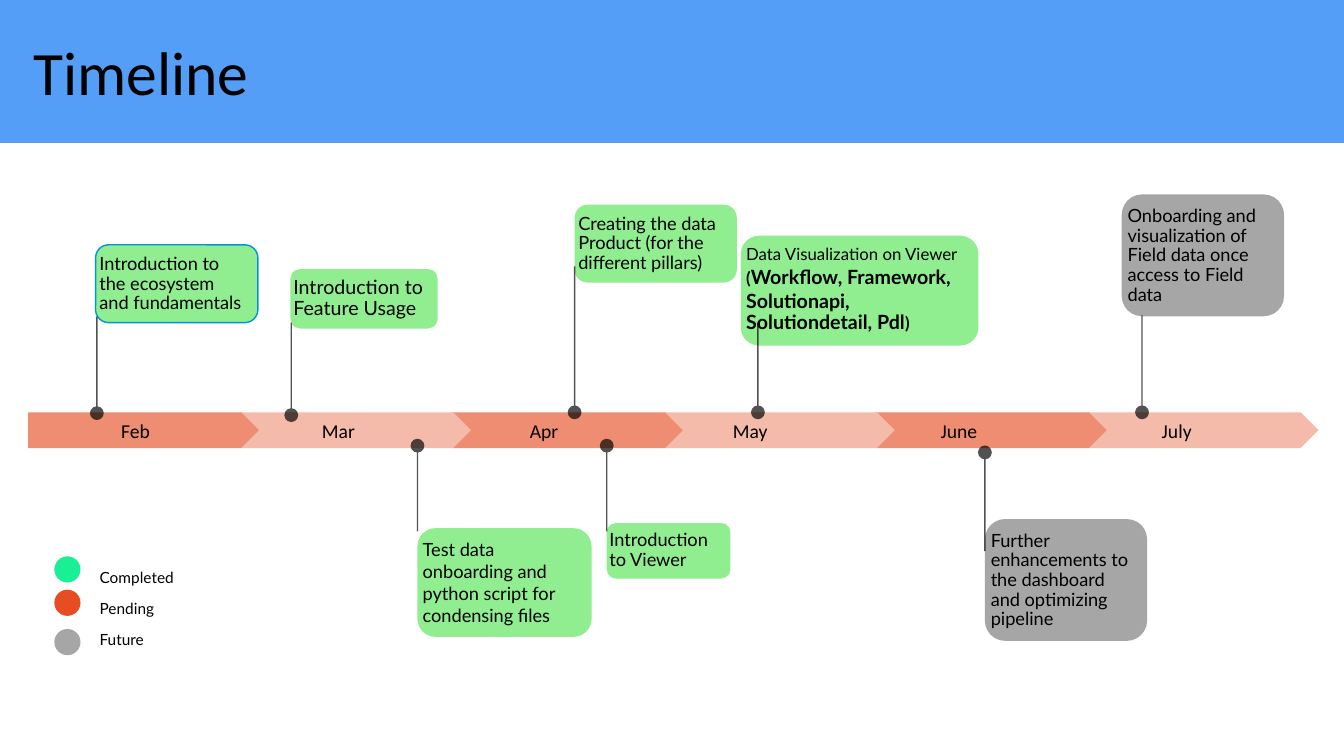
from lxml import etree
from pptx import Presentation
from pptx import util as u
from pptx.dml.color import RGBColor
from pptx.enum import shapes, text
from pptx.oxml import ns

GREEN, GREY, BLACK = "90EE90", "A6A6A6", "000000"


def paint(target, color):
    """Give a fill one solid colour."""
    target.solid()
    target.fore_color.rgb = RGBColor.from_string(color)


def write(frame, paragraphs, font="Lato", size=13, align="LEFT", anchor="TOP",
          spacing=0.9, before=0, after=0, margins=(0, 0, 0, 0)):
    """Fill a text frame; a paragraph is a string or a list of (text, size, bold)."""
    frame.word_wrap = True
    frame.vertical_anchor = getattr(text.MSO_ANCHOR, anchor)
    (frame.margin_left, frame.margin_top,
     frame.margin_right, frame.margin_bottom) = [u.Cm(m) for m in margins]
    for index, content in enumerate(paragraphs):
        para = frame.add_paragraph() if index else frame.paragraphs[0]
        para.alignment = getattr(text.PP_ALIGN, align)
        para.line_spacing = spacing
        para.space_before, para.space_after = u.Pt(before), u.Pt(after)
        runs = [(content, size, False)] if isinstance(content, str) else content
        for words, points, bold in runs:
            span = para.add_run()
            span.text = words
            span.font.name, span.font.size, span.font.bold = font, u.Pt(points), bold
            paint(span.font.fill, BLACK)


deck = Presentation()
deck.slide_width, deck.slide_height = u.Cm(33.87), u.Cm(19.05)
page = deck.slides.add_slide(deck.slide_layouts[5])
kinds = shapes.MSO_SHAPE

# Header band and title
title = page.shapes.title
title.left, title.top, title.width, title.height = map(u.Cm, (0.84, 1.09, 32.26, 1.68))
write(title.text_frame, ["Timeline"], font="Calibri", size=44, anchor="MIDDLE", spacing=0.85)
title.text_frame.auto_size = text.MSO_AUTO_SIZE.NONE
band = page.shapes.add_shape(kinds.RECTANGLE, 0, 0, deck.slide_width, u.Cm(3.6))
band.shadow.inherit = False
paint(band.fill, "549EF8")
band.line.fill.background()
title.element.addprevious(band.element)

# Month arrows, drawn from the right so that each tip overlaps the next arrow
for month in reversed(range(6)):
    arrow = page.shapes.add_shape(kinds.RIGHT_ARROW, u.Cm(0.71 + 5.34 * month),
                                  u.Cm(10.39), u.Cm(5.82), u.Cm(0.9))
    arrow.adjustments[0], arrow.adjustments[1] = 1, 0.5
    arrow.shadow.inherit = False
    paint(arrow.fill, "F5BBAA" if month % 2 else "EF8D72")
    arrow.line.fill.background()

# Event cards: left, top, width, height, fill, anchor, space after, spacing, size, paragraphs
cards = [
    (2.41, 6.17, 4.09, 1.96, GREEN, "BOTTOM", 2, 0.9, 13,
     ["Introduction to the ecosystem and fundamentals"]),
    (10.52, 13.31, 4.39, 2.74, GREEN, "TOP", 0, 1.0, 13,
     ["Test data onboarding and python script for condensing files"]),
    (14.48, 5.16, 4.09, 1.96, GREEN, "BOTTOM", 2, 0.9, 13,
     ["Creating the data Product (for the different pillars)"]),
    (28.27, 4.9, 4.09, 3.07, GREY, "BOTTOM", 2, 0.9, 13,
     ["Onboarding and visualization of Field data once access to Field data"]),
    (7.32, 6.78, 3.71, 1.5, GREEN, "TOP", 2, 0.9, 14,
     ["Introduction to Feature Usage"]),
    (15.29, 13.18, 3.12, 1.4, GREEN, "TOP", 2, 0.9, 13,
     ["Introduction to Viewer"]),
    (18.67, 5.94, 5.99, 2.77, GREEN, "TOP", 2, 0.9, 12,
     ["Data Visualization on Viewer",
      [("(", 12, True), ("Workflow, Framework,", 14, True)],
      [("Solutionapi, Solutiondetail, Pdl", 14, True), (")", 12, True)]]),
    (24.82, 13.08, 4.09, 3.07, GREY, "BOTTOM", 2, 0.9, 13,
     ["Further enhancements to the dashboard and optimizing pipeline"]),
]
for index, (left, top, width, height, color, anchor, after, spacing, size, words) in enumerate(cards):
    card = page.shapes.add_shape(kinds.ROUNDED_RECTANGLE, u.Cm(left), u.Cm(top),
                                 u.Cm(width), u.Cm(height))
    card.shadow.inherit = False
    paint(card.fill, color)
    if index == 0:
        paint(card.line.fill, "0096D6")
        card.line.width = u.Pt(1)
    else:
        card.line.fill.background()
    write(card.text_frame, words, size=size, anchor=anchor, spacing=spacing,
          after=after, margins=(0, 0.13, 0.25, 0.13))

# Month names
months = ["Feb", "Mar", "Apr", "May", "June", "July"]
widths = [4.95, 5.28, 5.08, 5.31, 5.21, 5.77, 0.56]
holder = page.shapes.add_table(1, len(widths), u.Cm(0.94), u.Cm(10.44),
                               u.Cm(sum(widths)), u.Cm(0.86))
table = holder.table
table.first_row = table.horz_banding = False
for style in holder.element.iter(ns.qn("a:tableStyleId")):
    style.text = "{2D5ABB26-0587-4C30-8999-92F81FD0307C}"  # no style, no grid
for column, width in zip(table.columns, widths):
    column.width = u.Cm(width)
for cell in table.rows[0].cells:
    cell.fill.background()
    cell.vertical_anchor = text.MSO_ANCHOR.MIDDLE
    cell.margin_left = cell.margin_right = cell.margin_top = cell.margin_bottom = 0
for cell, month in zip(table.rows[0].cells, months):
    para = cell.text_frame.paragraphs[0]
    para.alignment = text.PP_ALIGN.CENTER
    span = para.add_run()
    span.text = month
    span.font.name, span.font.size = "Calibri", u.Pt(14)
    paint(span.font.fill, BLACK)

# Pins from the cards to the month arrows: x, start, end
pins = [(2.44, 7.98, 10.41), (7.34, 8.13, 10.46), (10.52, 13.39, 11.23),
        (14.48, 6.71, 10.39), (15.29, 13.39, 11.23), (19.1, 8.13, 10.39),
        (24.82, 13.89, 11.4), (28.78, 7.95, 10.39)]
for x, start, end in pins:
    pin = page.shapes.add_connector(shapes.MSO_CONNECTOR.STRAIGHT, u.Cm(x), u.Cm(start),
                                    u.Cm(x), u.Cm(end))
    paint(pin.line.fill, BLACK)
    pin.line.width = u.Pt(1)
    for tint in pin.element.spPr.iter(ns.qn("a:srgbClr")):
        etree.SubElement(tint, ns.qn("a:alpha"), val="67000")
    outline = pin.element.spPr.find(ns.qn("a:ln"))
    etree.SubElement(outline, ns.qn("a:tailEnd"), type="oval", w="lg", len="lg")
    etree.SubElement(pin.element.spPr, ns.qn("a:effectLst"))

# Legend
for top, color in [(14.02, "19EF93"), (14.86, "E64D23"), (15.85, GREY)]:
    dot = page.shapes.add_shape(kinds.OVAL, u.Cm(1.37), u.Cm(top), u.Cm(0.66), u.Cm(0.66))
    dot.shadow.inherit = False
    paint(dot.fill, color)
    dot.line.fill.background()
legend = page.shapes.add_textbox(u.Cm(2.51), u.Cm(14.38), u.Cm(3.15), u.Cm(1.98))
write(legend.text_frame, ["Completed", "Pending", "Future"], size=11, before=10)

deck.save("out.pptx")
